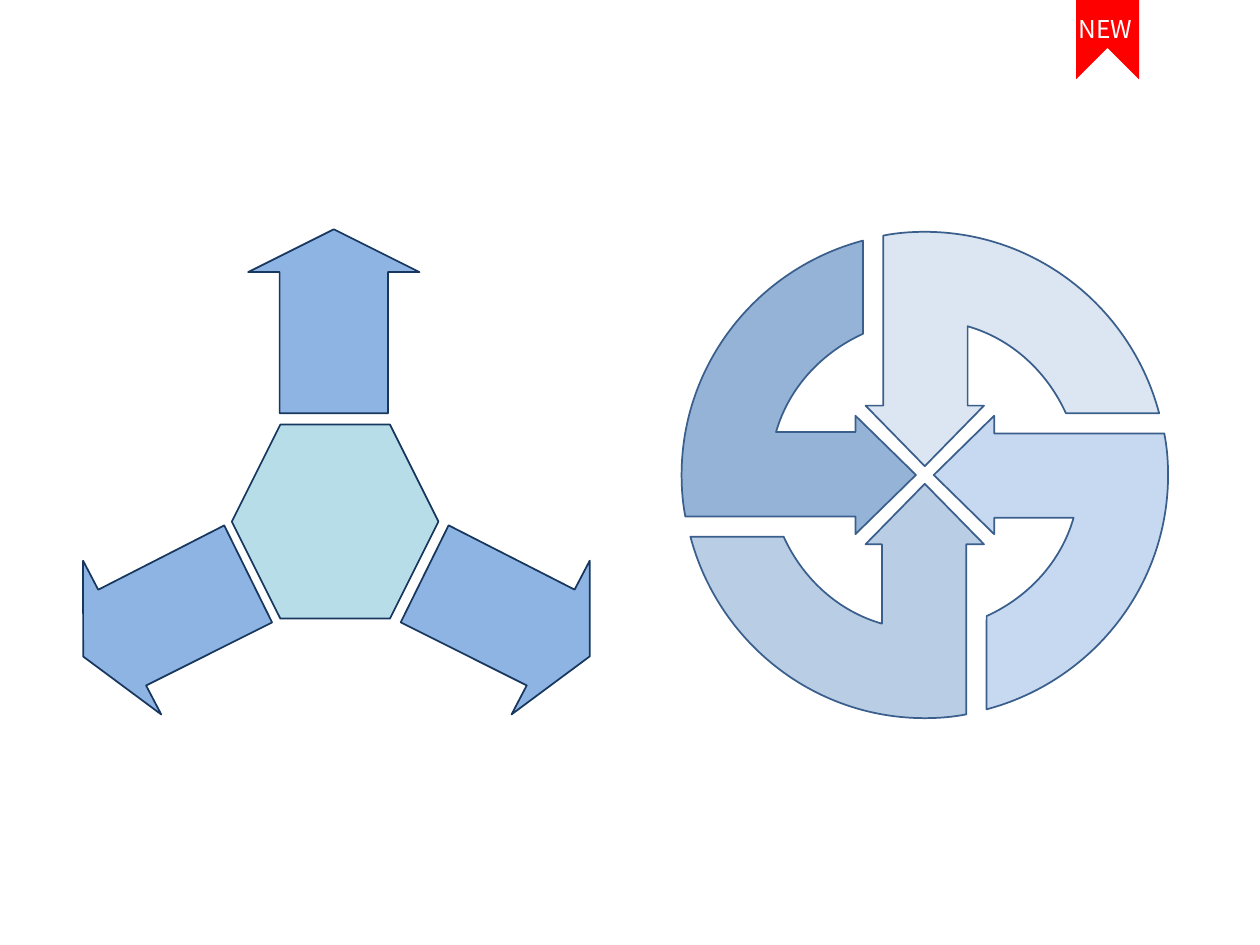
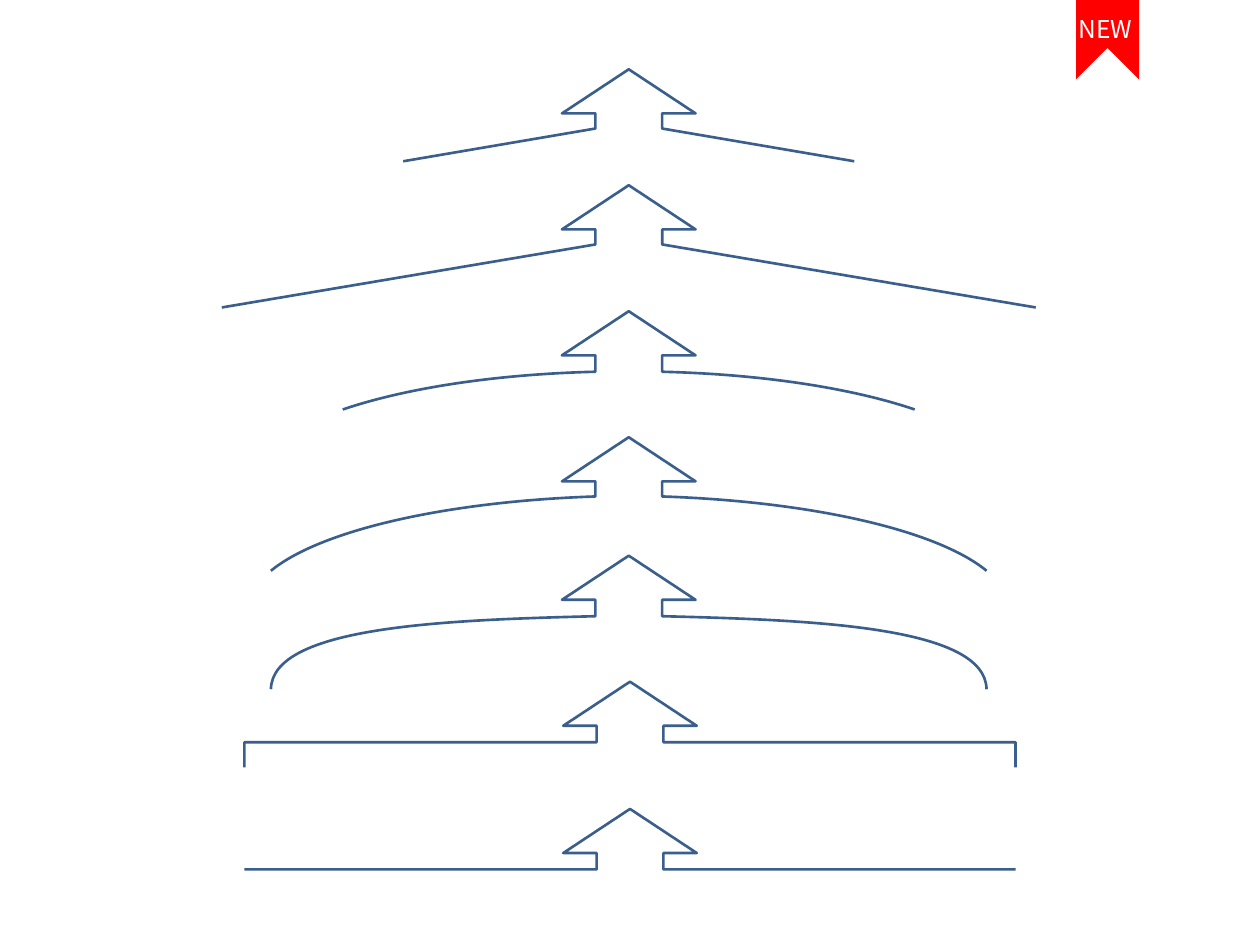
from math import cos, radians, sin
from lxml.etree import SubElement
from pptx import Presentation
from pptx.dml.color import RGBColor
from pptx.enum.shapes import MSO_SHAPE
from pptx.enum.text import MSO_AUTO_SIZE
from pptx.oxml.ns import qn
from pptx.util import Inches, Pt

WHITE = RGBColor(0xFF, 0xFF, 0xFF)
RED = RGBColor(0xFF, 0x00, 0x00)
NAVY = RGBColor(0x17, 0x37, 0x5E)
STEEL = RGBColor(0x3A, 0x5F, 0x8C)
AQUA = RGBColor(0xB7, 0xDE, 0xE8)
SKY = RGBColor(0x8E, 0xB4, 0xE3)
FONT = "Noto Sans CJK KR"

RIBBON = [[(8.54, 0.63)], [(8.54, 0)], [(9.04, 0)], [(9.04, 0.63)],
          [(8.79, 0.38)], [(8.54, 0.63)]]
LABEL = "NEW"

HEX_BOX = (1.84, 3.37, 1.64, 1.54)
MID = 2.67
UP = [[(2.65, 1.82)], [(3.33, 2.16)], [(3.08, 2.16)], [(3.08, 3.28)],
      [(2.22, 3.28)], [(2.22, 2.16)], [(1.97, 2.16)]]
RIGHT = [[(4.68, 5.21)], [(4.06, 5.67)], [(4.18, 5.44)], [(3.18, 4.94)],
         [(3.56, 4.17)], [(4.56, 4.68)], [(4.68, 4.45)]]
TURN = 116.7

HUB = (7.34, 3.77)
BLADE = [
    [(0, -1.93)],
    [(0.89, -1.93), (1.64, -1.32), (1.86, -0.49)],
    [(1.12, -0.49)],
    [(0.97, -0.82), (0.69, -1.08), (0.34, -1.18)],
    [(0.34, -0.55)], [(0.47, -0.55)], [(0, -0.07)], [(-0.47, -0.55)],
    [(-0.33, -0.55)], [(-0.33, -1.9)],
    [(-0.23, -1.92), (-0.12, -1.93), (0, -1.93)],
]
WHEEL = [
    (RGBColor(0xDC, 0xE6, 0xF2), 0),
    (RGBColor(0xC6, 0xD9, 0xF1), 45),
    (RGBColor(0xB9, 0xCD, 0xE5), 0),
    (RGBColor(0x95, 0xB3, 0xD7), 0),
]

HEAD, RISE = 0.53, 0.35
NECK = HEAD / 2
ROWS = [
    (4.99, 0.55, 0.47, [[(1.79, 0.73)]]),
    (4.99, 1.47, 0.47, [[(3.23, 0.97)]]),
    (4.99, 2.47, 0.48, [[(1.06, 0.5), (1.77, 0.61), (2.27, 0.78)]]),
    (4.99, 3.47, 0.47, [[(1.46, 0.51), (2.45, 0.74), (2.84, 1.06)]]),
    (4.99, 4.41, 0.48, [[(1.46, 0.51), (2.83, 0.56), (2.84, 1.06)]]),
    (5, 5.41, 0.48, [[(3.06, 0.48)], [(3.06, 0.68)]]),
    (5, 6.42, 0.48, [[(3.06, 0.48)]]),
]


def remap(steps, rule):
    return [[rule(x, y) for x, y in step] for step in steps]


def spin(x, y, angle):
    t = radians(angle)
    return x * cos(t) - y * sin(t), x * sin(t) + y * cos(t)


def extent(steps):
    spots, last = [], None
    for step in steps:
        if len(step) == 3:
            for i in range(1, 40):
                t = i / 40
                u = 1 - t
                parts = (u ** 3, 3 * u * u * t, 3 * u * t * t, t ** 3)
                spots.append([sum(k * p[n] for k, p in zip(parts, [last, *step]))
                              for n in (0, 1)])
        last = step[-1]
        spots.append(last)
    xs, ys = zip(*spots)
    return min(xs), min(ys), max(xs), max(ys)


def style(shape, fill, line, width):
    shape.shadow.inherit = False
    if fill is None:
        shape.fill.background()
    else:
        shape.fill.solid()
        shape.fill.fore_color.rgb = fill
    if line is None:
        shape.line.fill.background()
    else:
        shape.line.color.rgb = line
        shape.line.width = Pt(width)


def outline(shapes, steps, fill=None, line=None, width=1, turn=0, close=True):
    steps = remap(steps, lambda x, y: spin(x, y, -turn))
    x0, y0, x1, y1 = extent(steps)
    mx, my = (x0 + x1) / 2, (y0 + y1) / 2
    cx, cy = spin(mx, my, turn)
    left, top = Inches(x0 + cx - mx), Inches(y0 + cy - my)
    wide, high = Inches(x1 - x0), Inches(y1 - y0)
    pen = shapes.build_freeform(left, top, scale=1.0)
    pen.add_line_segments([(left + wide, top), (left + wide, top + high),
                           (left, top + high)])
    shape = pen.convert_to_shape()
    track = next(shape.element.iter(qn("a:path")))
    for part in list(track):
        track.remove(part)
    for i, step in enumerate(steps):
        tag = "a:moveTo" if i == 0 else "a:cubicBezTo" if len(step) == 3 else "a:lnTo"
        node = SubElement(track, qn(tag))
        for x, y in step:
            SubElement(node, qn("a:pt"), x=str(int(Inches(x - x0))),
                       y=str(int(Inches(y - y0))))
    if close:
        SubElement(track, qn("a:close"))
    shape.rotation = turn
    style(shape, fill, line, width)


def add_tag(slide):
    group = slide.shapes.add_group_shape()
    outline(group.shapes, RIBBON, RED, turn=270)
    box = group.shapes.add_textbox(Inches(8.46), Inches(0.06), Inches(0.64), Inches(0.34))
    box.text_frame.word_wrap = False
    box.text_frame.auto_size = MSO_AUTO_SIZE.SHAPE_TO_FIT_TEXT
    run = box.text_frame.paragraphs[0].add_run()
    run.text = LABEL
    run.font.name = FONT
    run.font.size = Pt(14)
    run.font.color.rgb = WHITE


def add_star(shapes):
    core = shapes.add_shape(MSO_SHAPE.HEXAGON, *map(Inches, HEX_BOX))
    core.adjustments[0] = 0.25
    style(core, AQUA, NAVY, 1)
    left = remap(RIGHT, lambda x, y: (2 * MID - x, y))
    for steps, turn in ((UP, 0), (RIGHT, TURN), (left, 360 - TURN)):
        outline(shapes, steps, SKY, NAVY, turn=turn)


def add_wheel(shapes):
    blade = BLADE
    for fill, turn in WHEEL:
        steps = remap(blade, lambda x, y: (HUB[0] + x, HUB[1] + y))
        outline(shapes, steps, fill, STEEL, turn=turn)
        blade = remap(blade, lambda x, y: (-y, x))


def mirror(steps):
    sizes = [len(step) for step in steps[1:]]
    spots = [(-x, y) for step in steps for x, y in step][::-1]
    result, at = [spots[:1]], 1
    for size in sizes[::-1]:
        result.append(spots[at:at + size])
        at += size
    return result


def add_rows(shapes):
    for mid, top, drop, wing in ROWS:
        half = [[(0, 0)], [(HEAD, RISE)], [(NECK, RISE)], [(NECK, drop)]] + wing
        steps = remap(mirror(half) + half[1:], lambda x, y: (mid + x, top + y))
        outline(shapes, steps, line=STEEL, width=1.5, turn=180, close=False)


def main():
    deck = Presentation()
    deck.slide_width, deck.slide_height = Inches(10), Inches(7.5)
    for parts in ((add_star, add_wheel), (add_rows,)):
        slide = deck.slides.add_slide(deck.slide_layouts[6])
        for draw in parts:
            draw(slide.shapes)
        add_tag(slide)
    deck.save("out.pptx")


if __name__ == "__main__":
    main()
